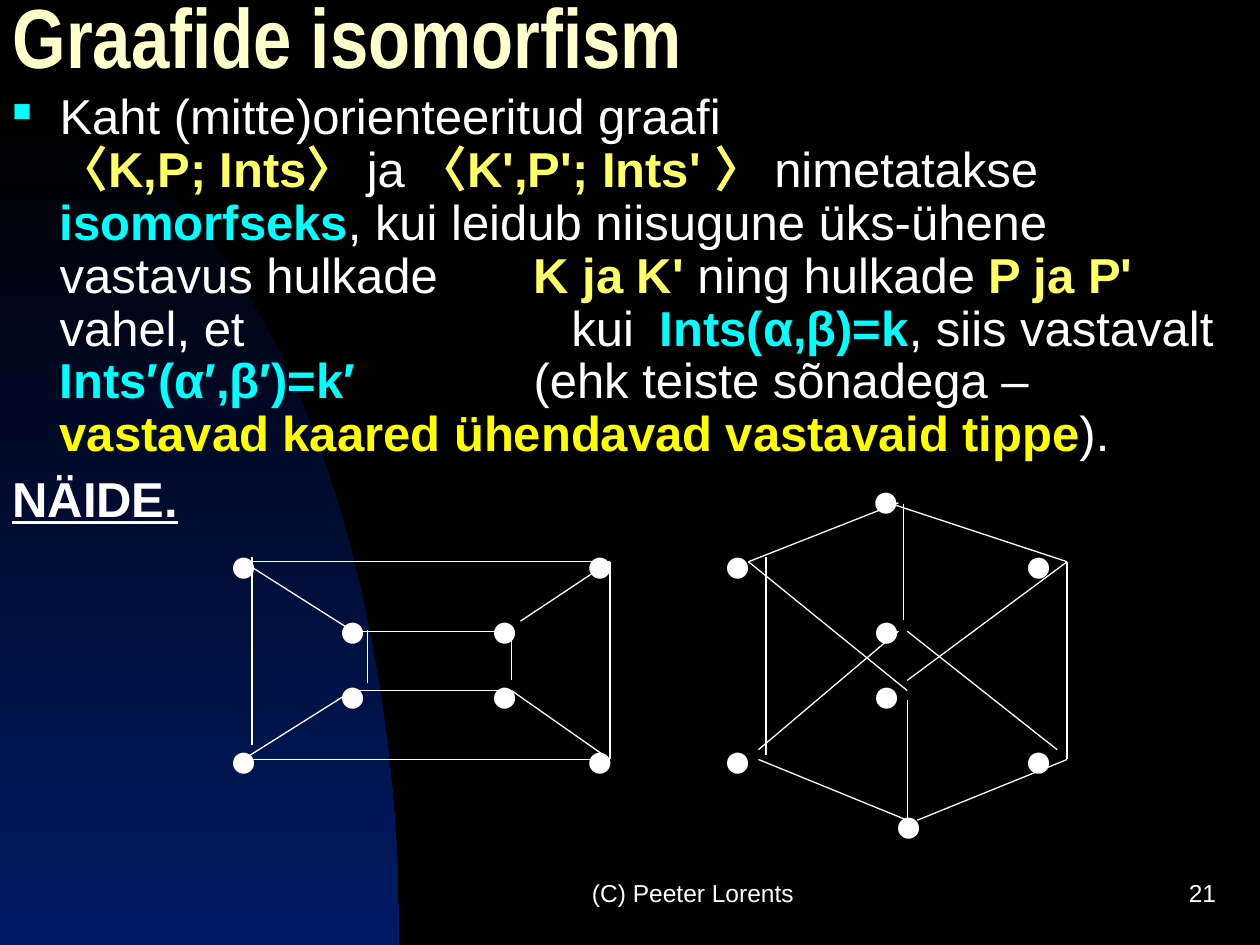
import math

import pptx
import pptx.dml.color
import pptx.enum.dml
import pptx.enum.shapes
import pptx.enum.text
import pptx.oxml.ns
import pptx.util
from lxml import etree

Pt = pptx.util.Pt
RGB = pptx.dml.color.RGBColor
ALIGN = pptx.enum.text.PP_ALIGN
ANCHOR = pptx.enum.text.MSO_ANCHOR
qn = pptx.oxml.ns.qn

BLACK = RGB(0x00, 0x00, 0x00)
WHITE = RGB(0xFF, 0xFF, 0xFF)
CREAM = RGB(0xFF, 0xFF, 0xCC)
LEMON = RGB(0xFF, 0xFF, 0x66)
YELLOW = RGB(0xFF, 0xFF, 0x00)
CYAN = RGB(0x00, 0xFF, 0xFF)
NAVY = RGB(0x00, 0x1A, 0x66)

WIDTH, HEIGHT = 720, 540
INSET = 7.2
DOT_WIDTH, SPACE_WIDTH = 16.9, 7.8  # advance widths at 28 pt
HEADING_END = 101.4

# (text, colour, bold, extra width of the gap in points)
DEFINITION = [
    ("Kaht (mitte)orienteeritud graafi\v", WHITE, False, 0),
    ("〈K,P; Ints〉", LEMON, True, 0),
    (" ja ", WHITE, False, 0),
    ("〈K',P'; Ints' 〉", LEMON, True, 0),
    (" nimetatakse ", WHITE, False, 0),
    ("isomorfseks", CYAN, True, 0),
    (", kui leidub niisugune üks-ühene vastavus hulkade", WHITE, False, 0),
    (" ", WHITE, False, 47),
    ("K ja K' ", LEMON, True, 0),
    ("ning hulkade ", WHITE, False, 0),
    ("P ja P' ", LEMON, True, 0),
    ("vahel, et", WHITE, False, 0),
    (" ", WHITE, False, 179),
    ("kui", WHITE, False, 0),
    (" ", WHITE, False, 7),
    ("Ints(α,β)=k", CYAN, True, 0),
    (", siis vastavalt ", WHITE, False, 0),
    ("Ints′(α′,β′)=k′", CYAN, True, 0),
    (" ", WHITE, False, 94),
    ("(ehk teiste sõnadega – ", WHITE, False, 0),
    ("vastavad kaared ühendavad vastavaid tippe", YELLOW, True, 0),
    (").", WHITE, False, 0),
]

# Horizontal centres of the vertices in each row of text
OUTER = [139.4, 342.9, 421.7, 593.7]
INNER = [201.7, 288.6, 506.9]
VERTEX_ROWS = [("NÄIDE.", [505.8]), ("", OUTER), ("", INNER), ("", INNER),
               ("", OUTER), ("", [519.4])]

LEFT_EDGES = [
    (139, 321, 348.5, 321), (144, 318.2, 144, 425.5),
    (348.5, 321, 348.5, 434), (139, 434, 348.5, 434),
    (201.6, 360.7, 292.3, 360.7), (201.6, 394.6, 292.3, 394.6),
    (292.3, 360.7, 292.3, 388.8), (348.5, 321, 297.4, 355),
    (139, 321, 201.6, 360.7), (139, 434, 201.6, 394.6),
    (292.3, 394.6, 348.5, 434), (210.2, 360, 210.2, 390.2),
]
RIGHT_EDGES = [
    (427.7, 321, 513.4, 287.3), (507.6, 287.3, 609.8, 321),
    (433.4, 434, 518.4, 468.7), (524.2, 468.7, 609.8, 434),
    (437.8, 318.2, 437.8, 431.3), (609.8, 321, 609.8, 434),
    (427.7, 321, 518.4, 394.6), (609.8, 321, 518.4, 388.8),
    (513.4, 360.7, 433.4, 428.4), (518.4, 360.7, 604.1, 428.4),
    (518.4, 400.3, 518.4, 468.7), (516.2, 288, 516.2, 354.2),
]


class SlideBuilder:
    def __init__(self, slide, font="Arial"):
        self.slide = slide
        self.font = font
        fill = slide.background.fill
        fill.solid()
        fill.fore_color.rgb = BLACK

    def style(self, r, size, color=WHITE, bold=False, font=None):
        r.font.name = font or self.font
        r.font.size = Pt(size)
        r.font.bold = bold
        r.font.color.rgb = color

    def run(self, p, text, color=WHITE, bold=False, gap=0):
        """Add a 28 pt run; gap widens its letter spacing, in points."""
        r = p.add_run()
        r.text = text
        self.style(r, 28, color, bold)
        if gap:
            r.font._element.set("spc", str(round(gap * 100)))
        return r

    def title(self, text, left, top, width, height):
        sp = self.slide.shapes.title
        sp.left, sp.top, sp.width, sp.height = map(Pt, (left, top, width, height))
        tf = sp.text_frame
        tf.text = text
        tf.vertical_anchor = ANCHOR.MIDDLE
        tf.auto_size = pptx.enum.text.MSO_AUTO_SIZE.NONE
        p = tf.paragraphs[0]
        p.alignment = ALIGN.LEFT
        p.line_spacing = 0.7
        self.style(p.runs[0], 48, CREAM, True, "Arial Narrow")

    def text_box(self, left, top, width, height):
        sp = self.slide.shapes.add_textbox(*map(Pt, (left, top, width, height)))
        sp.text_frame.word_wrap = True
        return sp.text_frame

    def label(self, text, left, top, width, height, align):
        tf = self.text_box(left, top, width, height)
        tf.text = text
        tf.vertical_anchor = ANCHOR.MIDDLE
        tf.paragraphs[0].alignment = align
        self.style(tf.paragraphs[0].runs[0], 14)

    def bullet_paragraph(self, p, parts):
        pPr = p._p.get_or_add_pPr()
        pPr.set("marL", str(Pt(27)))
        pPr.set("indent", str(-Pt(27)))
        color = etree.SubElement(pPr, qn("a:buClr"))
        etree.SubElement(color, qn("a:srgbClr"), val=str(CYAN))
        etree.SubElement(pPr, qn("a:buSzPct"), val="53000")
        etree.SubElement(pPr, qn("a:buChar"), char="■")
        p.line_spacing = 0.9
        for text, color, bold, gap in parts:
            self.run(p, text.rstrip("\v"), color, bold, gap)
            if text.endswith("\v"):
                p.add_line_break()

    def vertex_paragraph(self, p, heading, centres):
        """Place one dot at each centre: an indent first, then widened spaces."""
        lefts = [x - DOT_WIDTH / 2 for x in centres]
        cursor = HEADING_END if heading else lefts[0]
        pPr = p._p.get_or_add_pPr()
        pPr.set("marL", str(0 if heading else Pt(cursor - INSET)))
        pPr.set("indent", "0")
        etree.SubElement(pPr, qn("a:buNone"))
        p.line_spacing = 0.9
        p.space_before = Pt(7)
        if heading:
            self.run(p, heading, bold=True).font.underline = True
        for left in lefts:
            if left > cursor:
                self.run(p, " ", gap=left - cursor - SPACE_WIDTH)
            self.run(p, "●")
            cursor = left + DOT_WIDTH

    def edge(self, x1, y1, x2, y2):
        line = self.slide.shapes.add_connector(
            pptx.enum.shapes.MSO_CONNECTOR.STRAIGHT, *map(Pt, (x1, y1, x2, y2)))
        line.line.color.rgb = WHITE
        line.line.width = Pt(0.75)
        etree.SubElement(line._element.spPr, qn("a:effectLst"))

    def quarter_ellipse(self, rx, top, bottom, steps=60):
        """Draw the gradient arc that rises from the bottom-left corner."""
        angles = [math.pi / 2 * i / steps for i in range(steps + 1)]
        points = [(Pt(rx * math.sin(a)), Pt(bottom - (bottom - top) * math.cos(a)))
                  for a in angles]
        builder = self.slide.shapes.build_freeform(0, Pt(bottom))
        builder.add_line_segments(points, close=True)
        sp = builder.convert_to_shape()
        sp.shadow.inherit = False
        sp.line.fill.background()
        sp.fill.gradient()
        sp.fill.gradient_angle = 270
        for stop, color, position in zip(sp.fill.gradient_stops, (BLACK, NAVY), (0, 1)):
            stop.color.rgb = color
            stop.position = position


def main():
    prs = pptx.Presentation()
    prs.slide_width, prs.slide_height = Pt(WIDTH), Pt(HEIGHT)
    b = SlideBuilder(prs.slides.add_slide(prs.slide_layouts[5]))
    b.quarter_ellipse(228.2, 66.2, HEIGHT)
    b.title("Graafide isomorfism", 0, 0, WIDTH, 54)

    tf = b.text_box(0, 49, WIDTH, 453.6)
    b.bullet_paragraph(tf.paragraphs[0], DEFINITION)
    for heading, centres in VERTEX_ROWS:
        b.vertex_paragraph(tf.add_paragraph(), heading, centres)
    for ends in LEFT_EDGES + RIGHT_EDGES:
        b.edge(*ends)

    b.label("(C) Peeter Lorents", 282, 492, 228, 36, ALIGN.CENTER)
    b.label("21", 552, 492, 150, 36, ALIGN.RIGHT)
    prs.save("out.pptx")


if __name__ == "__main__":
    main()
